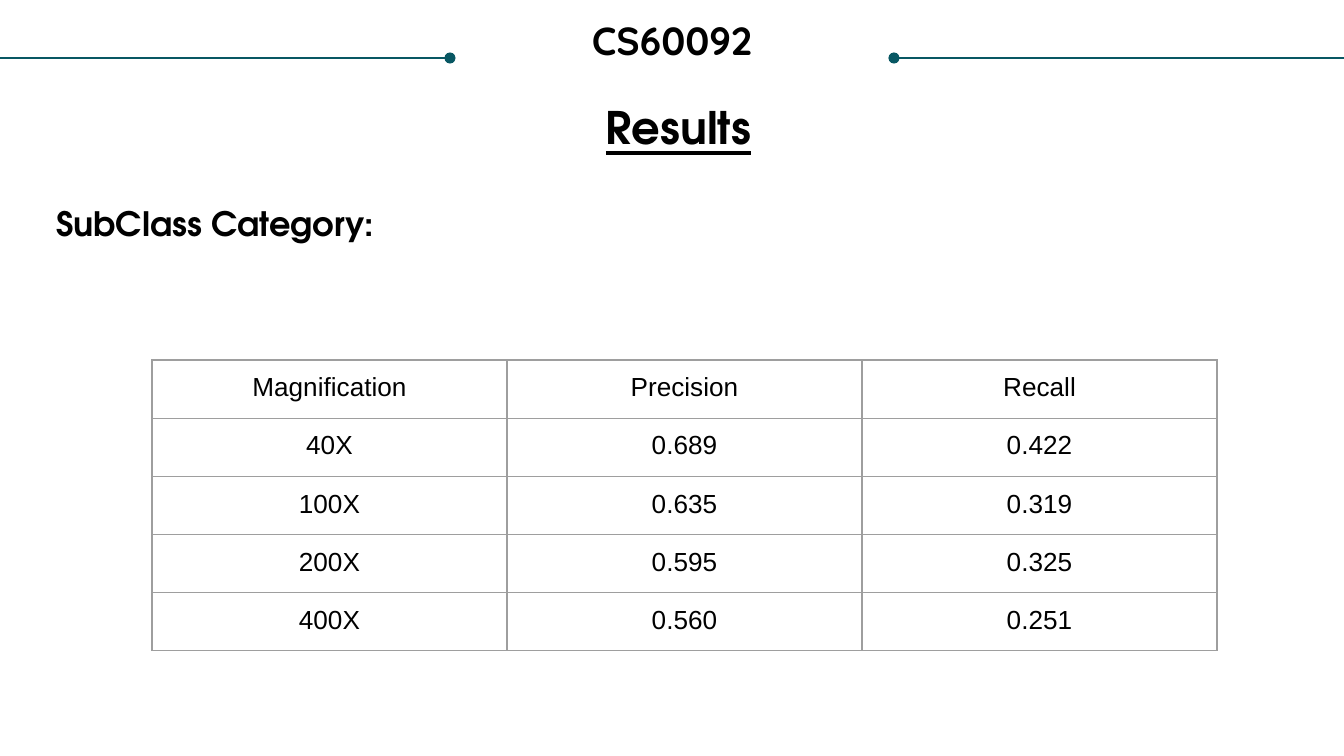
from lxml import etree
from pptx import Presentation
from pptx import util as u
from pptx.dml.color import RGBColor
from pptx.enum import shapes, text
from pptx.oxml import ns

SCALE = u.Inches(10) / 1344
BLACK = RGBColor(0x00, 0x00, 0x00)
TEAL = RGBColor(0x08, 0x57, 0x63)
GREY = RGBColor(0x9E, 0x9E, 0x9E)

RESULTS = [
    ("Magnification", "Precision", "Recall"),
    ("40X", "0.689", "0.422"),
    ("100X", "0.635", "0.319"),
    ("200X", "0.595", "0.325"),
    ("400X", "0.560", "0.251"),
]


def px(length):
    return u.Emu(round(length * SCALE))


def write(frame, words, font_name, size, align, inset=(0, 0), bold=True):
    frame.word_wrap = True
    frame.auto_size = text.MSO_AUTO_SIZE.NONE
    frame.vertical_anchor = text.MSO_ANCHOR.TOP
    frame.margin_left = frame.margin_right = px(inset[0])
    frame.margin_top = frame.margin_bottom = px(inset[1])
    frame.text = words
    para = frame.paragraphs[0]
    para.alignment = align
    para.font.name = font_name
    para.font.size = u.Pt(size)
    para.font.bold = bold
    para.font.color.rgb = BLACK
    return para


def add_rule(page, outer, inner, top):
    rule = page.shapes.add_connector(
        shapes.MSO_CONNECTOR.STRAIGHT, px(outer), px(top), px(inner), px(top))
    rule.line.color.rgb = TEAL
    rule.line.width = u.Pt(0.75)
    etree.SubElement(rule.line._get_or_add_ln(), ns.qn("a:tailEnd"), type="oval")
    etree.SubElement(rule._element.spPr, ns.qn("a:effectLst"))


def add_header(page, left, top, width, height):
    title = page.shapes.title
    title.left, title.top = px(left + 26), px(top + 22)
    title.width, title.height = px(width - 52), px(height - 22)
    para = write(title.text_frame, "CS60092", "Quicksand", 21, text.PP_ALIGN.CENTER)
    para.line_spacing = 0.9
    for outer, inner in ((left, left + 450), (left + width, left + width - 450)):
        add_rule(page, outer, inner, top + 58)


def add_heading(page, left, top, width, height, words, size, align, inset):
    box = page.shapes.add_textbox(px(left), px(top), px(width), px(height))
    return write(box.text_frame, words, "TeX Gyre Adventor", size, align, inset)


def add_borders(cell):
    properties = cell._tc.get_or_add_tcPr()
    for side in ("lnL", "lnR", "lnT", "lnB"):
        line = etree.SubElement(properties, ns.qn(f"a:{side}"), w=str(u.Pt(0.75)))
        fill = etree.SubElement(line, ns.qn("a:solidFill"))
        etree.SubElement(fill, ns.qn("a:srgbClr"), val=str(GREY))


def add_results_table(page, left, top, width, height):
    frame = page.shapes.add_table(
        len(RESULTS), len(RESULTS[0]), px(left), px(top), px(width), px(height))
    table = frame.table
    table.first_row = table.horz_banding = False
    for row_index, values in enumerate(RESULTS):
        for column_index, value in enumerate(values):
            cell = table.cell(row_index, column_index)
            add_borders(cell)
            cell.fill.background()
            cell.margin_left = cell.margin_right = px(13)
            cell.margin_top = cell.margin_bottom = px(13)
            cell.text = value
            para = cell.text_frame.paragraphs[0]
            para.alignment = text.PP_ALIGN.CENTER
            para.font.name = "Arial"
            para.font.size = u.Pt(14)
            para.font.color.rgb = BLACK


def main():
    deck = Presentation()
    deck.slide_width, deck.slide_height = px(1344), px(756)
    page = deck.slides.add_slide(deck.slide_layouts[5])
    add_header(page, 0, 0, 1344, 108)
    heading = add_heading(
        page, 38, 95, 1281, 65, "Results", 24, text.PP_ALIGN.CENTER, (9, 5))
    heading.font.underline = True
    add_heading(
        page, 43, 190, 898, 67, "SubClass Category:", 18, text.PP_ALIGN.LEFT, (13, 13))
    add_results_table(page, 152, 360, 1065, 291)
    deck.save("out.pptx")


if __name__ == "__main__":
    main()
